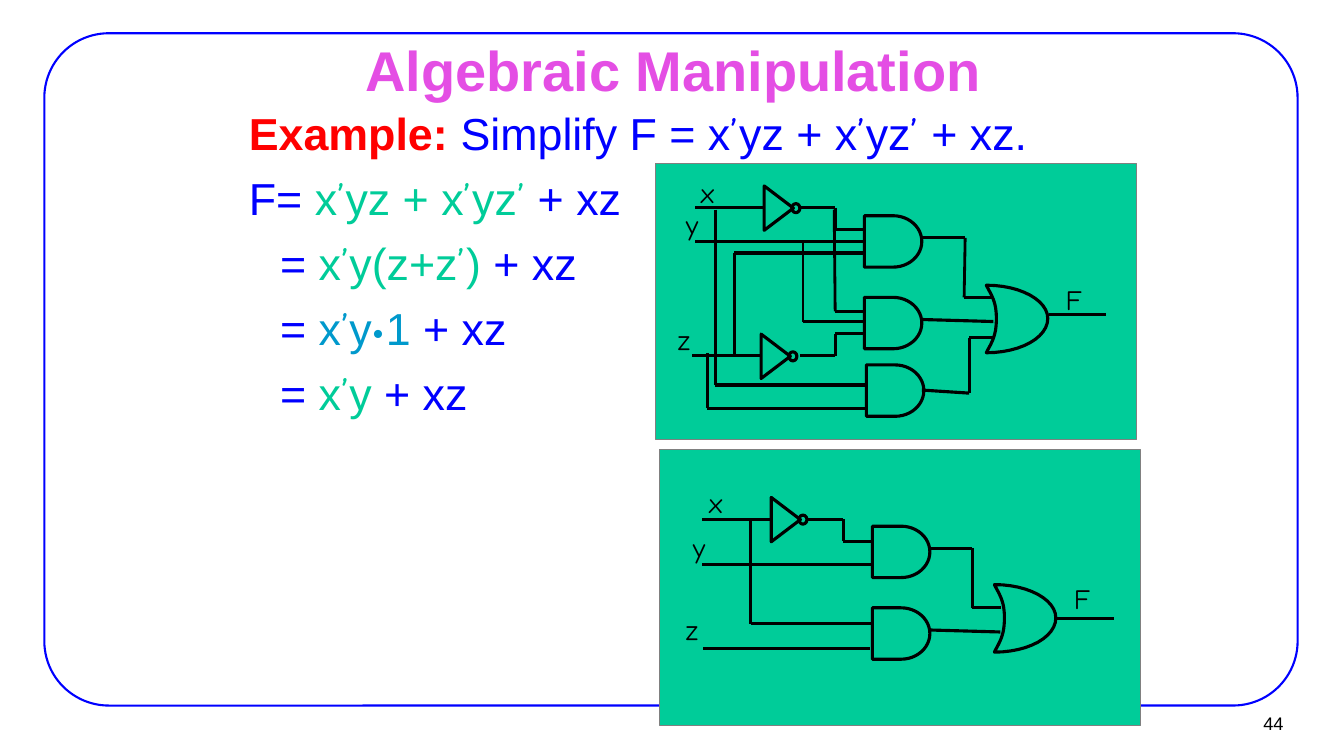
from dataclasses import dataclass
from itertools import groupby

from pptx import Presentation
from pptx.dml.color import RGBColor
from pptx.enum.shapes import MSO_CONNECTOR, MSO_SHAPE
from pptx.enum.text import MSO_ANCHOR, PP_ALIGN
from pptx.oxml.ns import qn
from pptx.util import Inches, Pt

STRAIGHT = MSO_CONNECTOR.STRAIGHT
RECT, ROUND_RECT = MSO_SHAPE.RECTANGLE, MSO_SHAPE.ROUNDED_RECTANGLE
TRIANGLE, OVAL = MSO_SHAPE.ISOSCELES_TRIANGLE, MSO_SHAPE.OVAL
DELAY = MSO_SHAPE.FLOWCHART_DELAY
TOP, MIDDLE = MSO_ANCHOR.TOP, MSO_ANCHOR.MIDDLE
LEFT, CENTER, RIGHT = PP_ALIGN.LEFT, PP_ALIGN.CENTER, PP_ALIGN.RIGHT


@dataclass(frozen=True)
class Theme:
    font: str = "Arial"
    symbol_font: str = "Comic Neue"
    title: str = "E44EE4"
    accent: str = "FF0000"
    blue: str = "0000FF"
    green: str = "00CC99"
    teal: str = "0099CC"
    grey: str = "808080"
    black: str = "000000"
    title_size: float = 40
    body_size: float = 32
    label_size: float = 20
    number_size: float = 13
    gate_line: float = 2.25
    riser_line: float = 2
    frame_line: float = 1.5
    panel_line: float = 0.75


T = Theme()

BODY = [
    [("Example:", T.accent, True), (" Simplify F = x’yz + x’yz’ + xz.", T.blue, False)],
    [("F= ", T.blue, False), ("x’yz + x’yz’", T.green, False), (" + xz", T.blue, False)],
    [("\t= ", T.blue, False), ("x’y(z+z’)", T.green, False), (" + xz", T.blue, False)],
    [("\t= ", T.blue, False), ("x’y•1", T.teal, False), (" + xz", T.blue, False)],
    [("\t= ", T.blue, False), ("x’y", T.green, False), (" + xz", T.blue, False)],
]

# Circuit positions are inches from the panel's top left corner
FULL_CIRCUIT = dict(
    inverters=[(1.22, 0.44), (1.19, 1.91)],
    ands=[(2.07, 0.52), (2.07, 1.33), (2.09, 2.0)],
    or_gate=(3.28, 1.21),
    labels=[("x", 0.35, 0.07), ("y", 0.2, 0.39), ("z", 0.12, 1.53), ("F", 3.97, 1.13)],
    wires=[
        [(0.39, 0.44), (1.07, 0.44)],
        [(0.39, 0.78), (2.09, 0.78)],
        [(0.36, 1.91), (1.04, 1.91)],
        [(1.43, 0.44), (1.78, 0.44), (1.78, 0.66), (2.07, 0.66)],
        [(1.77, 0.46), (1.78, 1.47), (2.07, 1.47)],
        [(1.43, 1.91), (1.78, 1.91), (1.78, 1.69), (2.07, 1.69)],
        [(0.78, 1.91), (0.78, 0.89), (2.07, 0.89)],
        [(1.46, 0.78), (1.46, 1.57), (2.09, 1.57)],
        [(0.59, 0.46), (0.59, 2.2), (2.09, 2.2)],
        [(0.51, 1.88), (0.51, 2.43), (2.09, 2.43)],
        [(2.64, 0.74), (3.07, 0.74), (3.06, 1.33), (3.35, 1.33)],
        [(2.64, 1.55), (3.35, 1.57)],
        [(2.64, 2.25), (3.11, 2.28), (3.11, 1.73), (3.35, 1.73)],
        [(3.9, 1.5), (4.47, 1.5)],
    ],
)
SIMPLE_CIRCUIT = dict(
    inverters=[(1.25, 0.69)],
    ands=[(2.11, 0.76), (2.11, 1.57)],
    or_gate=(3.32, 1.34),
    labels=[("x", 0.39, 0.31), ("y", 0.23, 0.75), ("z", 0.16, 1.57), ("F", 4.01, 1.26)],
    wires=[
        [(0.42, 0.69), (1.11, 0.69)],
        [(0.42, 1.14), (2.13, 1.14)],
        [(0.43, 1.97), (2.09, 1.97)],
        [(1.46, 0.69), (1.82, 0.69), (1.82, 0.91), (2.11, 0.91)],
        [(0.9, 0.71), (0.9, 1.73), (2.13, 1.73)],
        [(2.68, 0.98), (3.1, 0.98), (3.1, 1.57), (3.39, 1.57)],
        [(2.68, 1.79), (3.38, 1.81)],
        [(3.94, 1.68), (4.51, 1.68)],
    ],
)
OR_CURVES = [
    [(0, 0), (0.05, 0.1), (0.1, 0.16), (0.1, 0.33)],
    [(0.1, 0.33), (0.1, 0.51), (0.05, 0.57), (0, 0.67)],
    [(0, 0.67), (0.34, 0.67), (0.61, 0.52), (0.61, 0.33)],
    [(0.61, 0.33), (0.61, 0.15), (0.34, 0), (0, 0)],
]


def style(sp, color, width, fill=None):
    sp.shadow.inherit = False
    if fill:
        sp.fill.solid()
        sp.fill.fore_color.rgb = RGBColor.from_string(fill)
    else:
        sp.fill.background()
    sp.line.color.rgb = RGBColor.from_string(color)
    sp.line.width = Pt(width)


def add_shape(shapes, kind, box, color=T.black, width=T.gate_line, fill=None):
    sp = shapes.add_shape(kind, *map(Inches, box))
    style(sp, color, width, fill)
    return sp


def add_text(shapes, box, anchor=TOP, inset=(0.1, 0.05)):
    tf = shapes.add_textbox(*map(Inches, box)).text_frame
    tf.word_wrap = True
    tf.vertical_anchor = anchor
    tf.margin_left = tf.margin_right = Inches(inset[0])
    tf.margin_top = tf.margin_bottom = Inches(inset[1])
    return tf


def add_run(p, text, size, color, font=T.font, bold=False):
    r = p.add_run()
    r.text = text
    r.font.size, r.font.name, r.font.bold = Pt(size), font, bold
    r.font.color.rgb = RGBColor.from_string(color)


def add_line_of_text(shapes, box, text, size, color, align, inset):
    p = add_text(shapes, box, MIDDLE, inset).paragraphs[0]
    p.alignment = align
    add_run(p, text, size, color, bold=size == T.title_size)


def add_body(shapes, box):
    tf = add_text(shapes, box, inset=(0.11, 0.06))
    for i, line in enumerate(BODY):
        p = tf.paragraphs[0] if i == 0 else tf.add_paragraph()
        p.alignment = LEFT
        p.space_before = Pt(8)
        pPr = p._p.get_or_add_pPr()
        pPr.set("marL", str(Inches(0.81)))
        pPr.set("indent", str(Inches(-0.31)))
        for text, color, bold in line:
            # Primes and dots take the symbol font
            for is_symbol, chars in groupby(text, lambda c: c in "’•"):
                font = T.symbol_font if is_symbol else T.font
                add_run(p, "".join(chars), T.body_size, color, font, bold)


def add_wire(shapes, points):
    for (x1, y1), (x2, y2) in zip(points, points[1:]):
        cx = shapes.add_connector(STRAIGHT, *map(Inches, (x1, y1, x2, y2)))
        is_riser = abs(y2 - y1) > abs(x2 - x1)
        cx.line.width = Pt(T.riser_line if is_riser else T.gate_line)
        cx.line.color.rgb = RGBColor.from_string(T.black)
        spPr = cx._element.spPr
        spPr.append(spPr.makeelement(qn("a:effectLst"), {}))


def add_inverter(shapes, x, y):
    add_shape(shapes, TRIANGLE, (x - 0.22, y - 0.14, 0.44, 0.29)).rotation = 90
    add_shape(shapes, OVAL, (x + 0.13, y - 0.04, 0.08, 0.09))


def add_or_gate(shapes, x, y, steps=12):
    points = []
    for a, b, c, d in OR_CURVES:
        for t in (i / steps for i in range(1, steps + 1)):
            weights = ((1 - t) ** 3, 3 * t * (1 - t) ** 2, 3 * t * t * (1 - t), t ** 3)
            points.append([Inches(o + sum(w * q[k] for w, q in zip(weights, (a, b, c, d))))
                           for k, o in enumerate((x, y))])
    fb = shapes.build_freeform(Inches(x), Inches(y))
    fb.add_line_segments(points, close=True)
    style(fb.convert_to_shape(), T.black, T.gate_line)


def add_circuit(s, box, circuit):
    x, y = box[:2]
    shapes = s.shapes.add_group_shape().shapes
    add_shape(shapes, RECT, box, T.grey, T.panel_line, T.green)
    for points in circuit["wires"]:
        add_wire(shapes, [(x + dx, y + dy) for dx, dy in points])
    for dx, dy in circuit["inverters"]:
        add_inverter(shapes, x + dx, y + dy)
    for dx, dy in circuit["ands"]:
        add_shape(shapes, DELAY, (x + dx, y + dy, 0.57, 0.51))
    dx, dy = circuit["or_gate"]
    add_or_gate(shapes, x + dx, y + dy)
    for name, dx, dy in circuit["labels"]:
        tf = add_text(shapes, (x + dx, y + dy, 0.43, 0.44))
        add_run(tf.paragraphs[0], name, T.label_size, T.black, T.symbol_font)


def main():
    prs = Presentation()
    prs.slide_width, prs.slide_height = Inches(13.34), Inches(7.5)
    s = prs.slides.add_slide(prs.slide_layouts[6])
    # Frame and page number
    frame = add_shape(s.shapes, ROUND_RECT, (0.44, 0.33, 12.44, 6.67), T.blue, T.frame_line)
    frame.adjustments[0] = 0.096
    add_line_of_text(s.shapes, (12.02, 6.99, 0.81, 0.37), "44",
                     T.number_size, T.black, RIGHT, (0.09, 0.04))
    # Title and derivation
    add_line_of_text(s.shapes, (1.01, 0.44, 11.34, 0.49), "Algebraic Manipulation",
                     T.title_size, T.title, CENTER, (0.11, 0.06))
    add_body(s.shapes, (1.86, 0.99, 9.21, 5.08))
    # Circuits before and after simplifying
    add_circuit(s, (6.51, 1.62, 4.77, 2.74), FULL_CIRCUIT)
    add_circuit(s, (6.55, 4.46, 4.77, 2.74), SIMPLE_CIRCUIT)
    prs.save("out.pptx")


if __name__ == "__main__":
    main()
